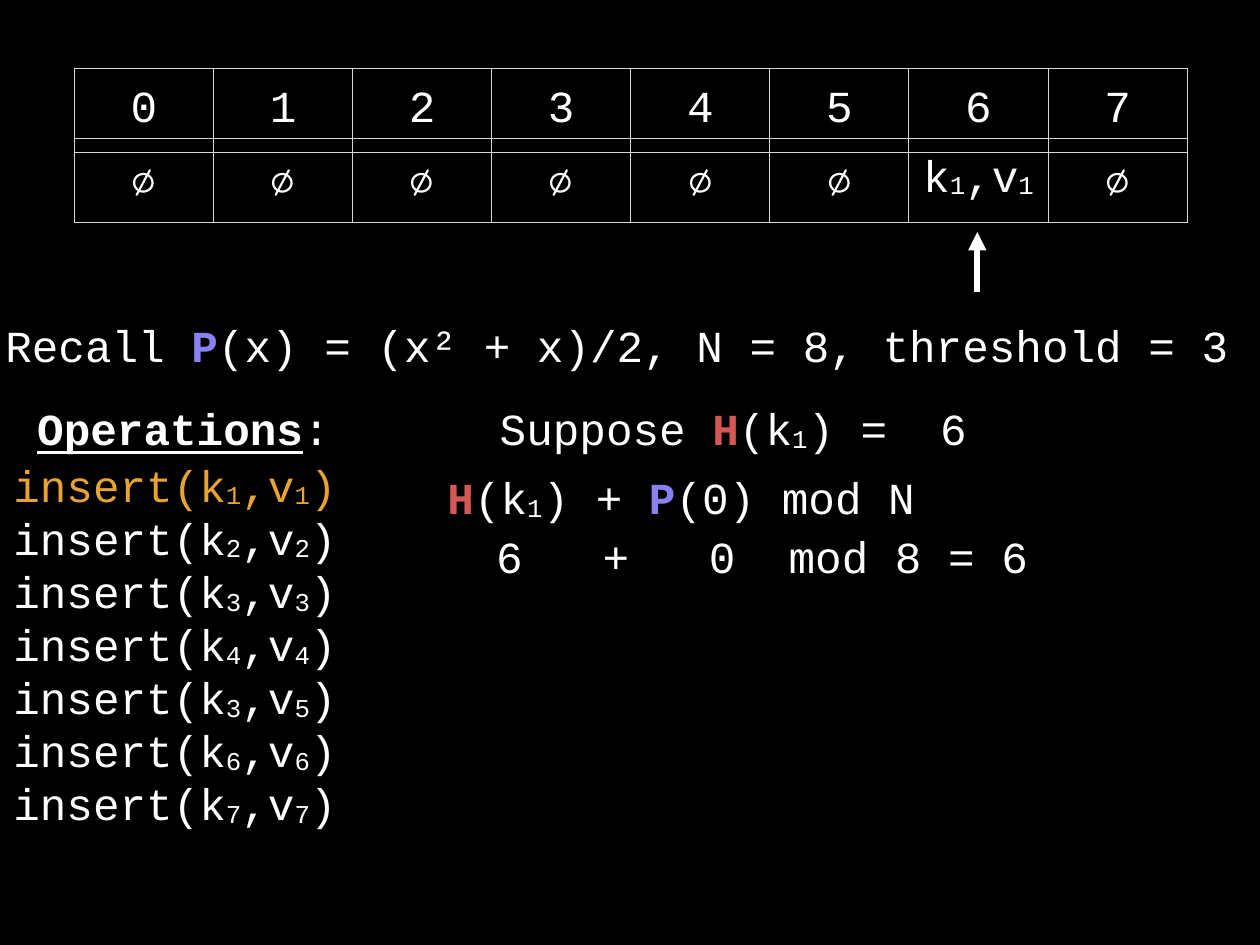
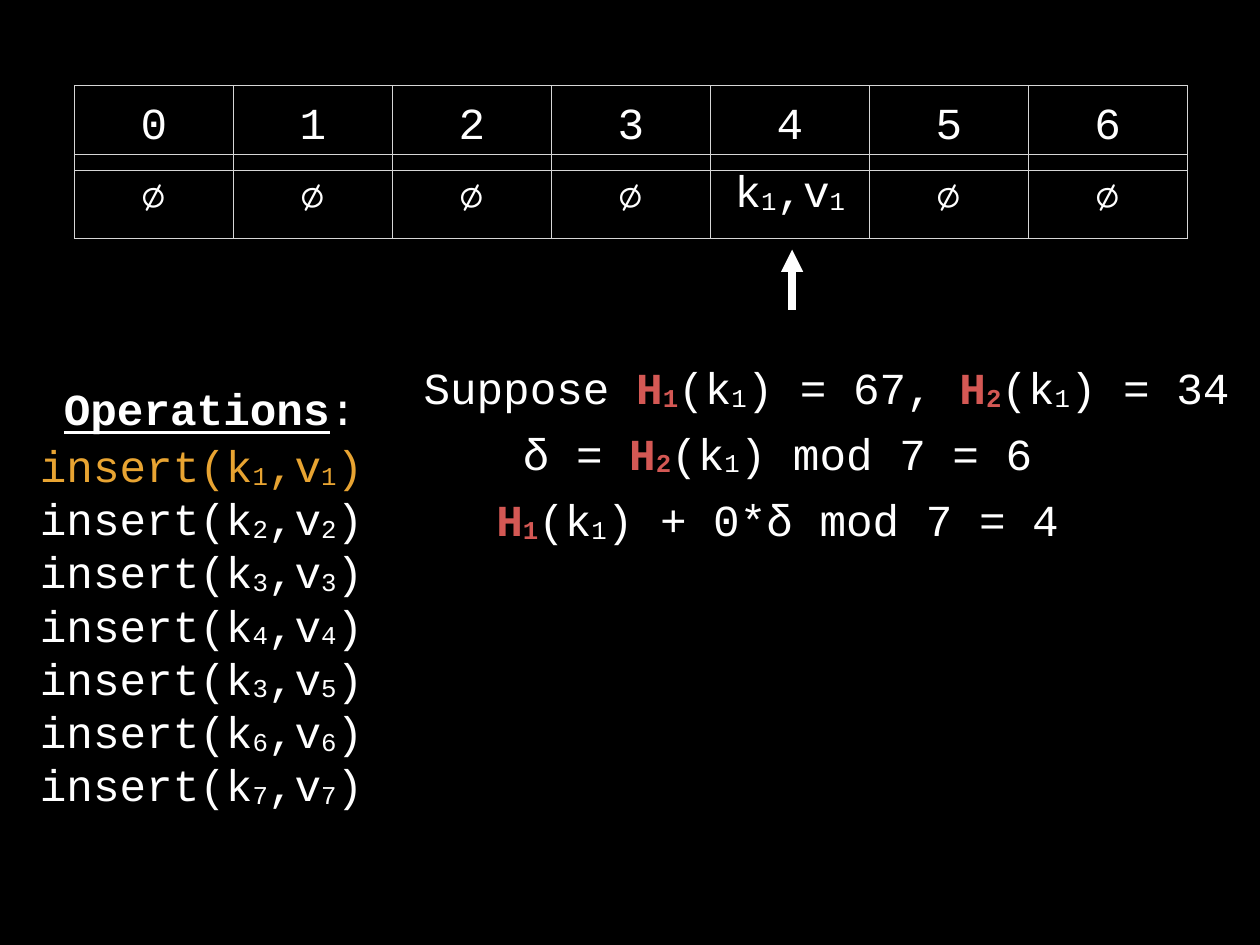
from dataclasses import dataclass

from lxml import etree
from pptx import Presentation
from pptx.dml.color import RGBColor
from pptx.enum.shapes import MSO_CONNECTOR
from pptx.enum.text import MSO_ANCHOR, MSO_AUTO_SIZE, PP_ALIGN
from pptx.oxml.ns import qn
from pptx.util import Inches, Pt

LEFT, CENTER = PP_ALIGN.LEFT, PP_ALIGN.CENTER
TOP, MIDDLE = MSO_ANCHOR.TOP, MSO_ANCHOR.MIDDLE
NO_AUTO_SIZE = MSO_AUTO_SIZE.NONE
STRAIGHT = MSO_CONNECTOR.STRAIGHT


@dataclass(frozen=True)
class Theme:
    background: str = "000000"
    text: str = "FFFFFF"
    current: str = "E8A432"
    hash: str = "D45854"
    probe: str = "8981F0"
    border: str = "D6D6D6"
    font: str = "Courier New"
    size: int = 36
    border_width: int = 1


THEME = Theme()
SYMBOL_COLORS = {"H": THEME.hash, "P": THEME.probe}
MARGIN = Inches(0.06)
TABLE_LEFT, TABLE_WIDTH, ROW_HEIGHT = 0.84, 12.56, 0.95
ARROW_LENGTH = 0.68
LINE_HEIGHT = 0.68
OPERATIONS = [(1, 1), (2, 2), (3, 3), (4, 4), (3, 5), (6, 6), (7, 7)]
SLIDES = [
    {
        "slots": 8, "filled": 6, "index_top": 0.77, "value_top": 1.56,
        "arrow": (11.03, 3.3, 5),
        "heading": (0.32, 4.49), "list": (0.09, 5.11),
        "lines": [
            ("Recall |P|(x) = (x² + x)/2, N = 8, threshold = 3", 0, 3.55, 14.22, LEFT, []),
            ("Suppose |H|(k|_1|) =\t6", 5.58, 4.49, 5.5, LEFT, [4.97]),
            ("H|(k|_1|) + |P|(0) mod N", 4.99, 5.27, 5.5, LEFT, []),
            ("6\t+\t0\tmod 8 = 6", 5.54, 5.94, 6.15, LEFT, [1.2, 2.4, 3.3]),
        ],
    },
    {
        "slots": 7, "filled": 4, "index_top": 0.97, "value_top": 1.74,
        "arrow": (8.94, 3.5, 6),
        "heading": (0.62, 4.27), "list": (0.39, 4.89),
        "lines": [
            ("Suppose |H|_1|(k|_1|) = 67, |H|_2|(k|_1|) = 34", 4.72, 4.03, 9.36, LEFT, []),
            ("δ = |H|_2|(k|_1|) mod 7 = 6", 5.5, 4.77, 6.55, CENTER, []),
            ("H|_1|(k|_1|) + 0*δ mod 7 = 4", 5.5, 5.52, 6.55, CENTER, []),
        ],
    },
]


def write(paragraph, text, color=THEME.text, align=LEFT, bold=False, underline=False):
    paragraph.alignment = align
    symbol = None
    for piece in text.split("|"):
        subscript = piece.startswith("_")
        if not subscript:
            symbol = SYMBOL_COLORS.get(piece)
        run = paragraph.add_run()
        run.text = piece.removeprefix("_")
        run.font.name = THEME.font
        run.font.size = Pt(THEME.size)
        run.font.bold = bold or symbol is not None
        run.font.underline = underline
        run.font.color.rgb = RGBColor.from_string(symbol or color)
        if subscript:
            run._r.get_or_add_rPr().set("baseline", "-6000")


def place(shape, left, top, width, height, anchor):
    shape.left, shape.top = Inches(left), Inches(top)
    shape.width, shape.height = Inches(width), Inches(height)
    frame = shape.text_frame
    frame.margin_left = frame.margin_right = MARGIN
    frame.margin_top = frame.margin_bottom = MARGIN
    frame.word_wrap = True
    frame.auto_size = NO_AUTO_SIZE
    frame.vertical_anchor = anchor
    return frame


presentation = Presentation()
presentation.slide_width = Inches(14.22)
presentation.slide_height = Inches(10.67)
background = presentation.slide_master.background.fill
background.solid()
background.fore_color.rgb = RGBColor.from_string(THEME.background)

for content in SLIDES:
    slide = presentation.slides.add_slide(presentation.slide_layouts[1])
    slots = content["slots"]

    heading = place(slide.shapes.title, *content["heading"], 3.5, LINE_HEIGHT, MIDDLE).paragraphs[0]
    write(heading, "Operations", align=CENTER, bold=True, underline=True)
    write(heading, ":", align=CENTER)

    operations = place(slide.placeholders[1], *content["list"], 4.14, 4.1, TOP)
    for number, (key, value) in enumerate(OPERATIONS):
        paragraph = operations.add_paragraph() if number else operations.paragraphs[0]
        properties = paragraph._p.get_or_add_pPr()
        properties.set("marL", "0")
        properties.set("indent", "0")
        etree.SubElement(properties, qn("a:buNone"))
        paragraph.space_before = Pt(0)
        color = THEME.text if number else THEME.current
        write(paragraph, f"insert(k|_{key}|,v|_{value}|)", color=color)

    values = ["k|_1|,v|_1" if slot == content["filled"] else "∅" for slot in range(slots)]
    indexes = [str(slot) for slot in range(slots)]
    for top, labels in [(content["value_top"], values), (content["index_top"], indexes)]:
        table = slide.shapes.add_table(
            1, slots, Inches(TABLE_LEFT), Inches(top), Inches(TABLE_WIDTH), Inches(ROW_HEIGHT)
        ).table
        table.first_row = table.horz_banding = False
        for column, label in enumerate(labels):
            table.columns[column].width = Inches(TABLE_WIDTH / slots)
            cell = table.cell(0, column)
            cell.margin_left = cell.margin_right = MARGIN
            cell.margin_top = cell.margin_bottom = MARGIN
            cell.vertical_anchor = MIDDLE
            write(cell.text_frame.paragraphs[0], label, align=CENTER)
            cell_properties = cell._tc.get_or_add_tcPr()
            for side in ("lnL", "lnR", "lnT", "lnB"):
                border = etree.SubElement(cell_properties, qn(f"a:{side}"), w=str(Pt(THEME.border_width)))
                fill = etree.SubElement(border, qn("a:solidFill"))
                etree.SubElement(fill, qn("a:srgbClr"), val=THEME.border)
            cell.fill.background()

    arrow_x, arrow_bottom, arrow_width = content["arrow"]
    arrow = slide.shapes.add_connector(
        STRAIGHT, Inches(arrow_x), Inches(arrow_bottom),
        Inches(arrow_x), Inches(arrow_bottom - ARROW_LENGTH),
    )
    arrow.line.color.rgb = RGBColor.from_string(THEME.text)
    arrow.line.width = Pt(arrow_width)
    etree.SubElement(arrow.line._get_or_add_ln(), qn("a:tailEnd"), type="triangle")
    etree.SubElement(arrow._element.spPr, qn("a:effectLst"))

    for text, left, top, width, align, tab_stops in content["lines"]:
        text_box = slide.shapes.add_textbox(0, 0, 0, 0)
        paragraph = place(text_box, left, top, width, LINE_HEIGHT, MIDDLE).paragraphs[0]
        if tab_stops:
            tab_list = etree.SubElement(paragraph._p.get_or_add_pPr(), qn("a:tabLst"))
            for stop in tab_stops:
                etree.SubElement(tab_list, qn("a:tab"), pos=str(Inches(stop)), algn="l")
        write(paragraph, text, align=align)

presentation.save("out.pptx")
